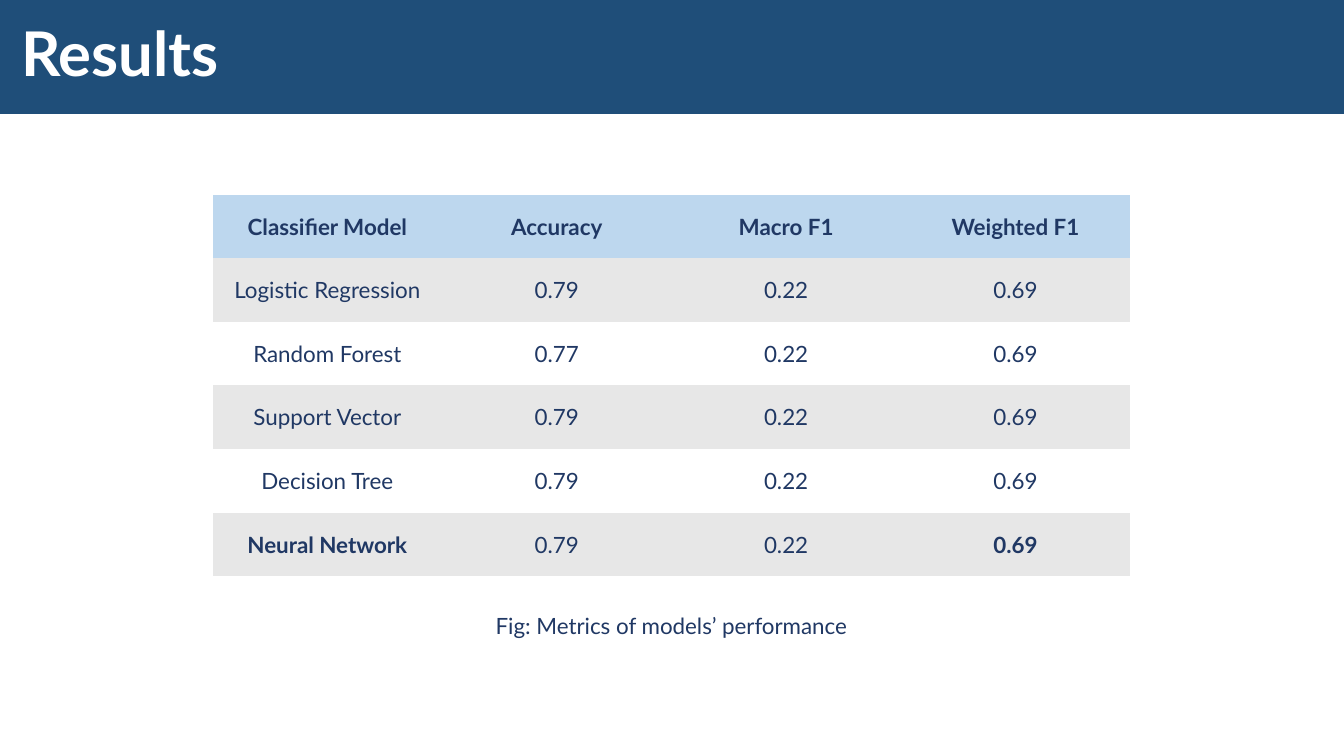
from dataclasses import dataclass

from pptx import Presentation
from pptx import util as u
from pptx.dml.color import RGBColor
from pptx.enum import text

COLORS = {
    "banner": "1F4E79",
    "header": "BDD7EE",
    "band": "E7E7E7",
    "white": "FFFFFF",
    "ink": "203864",
}
FONT = "Lato"
NO_GRID_STYLE = "{2D5ABB26-0587-4C30-8999-92F81FD0307C}"
LEFT, WIDTH = 2.11, 9.1
TABLE_TOP, TABLE_HEIGHT = 1.93, 3.79
HEADINGS = ("Classifier Model", "Accuracy", "Macro F1", "Weighted F1")


@dataclass
class ModelResult:
    name: str
    accuracy: str
    macro_f1: str = "0.22"
    weighted_f1: str = "0.69"
    best: bool = False


RESULTS = [
    ModelResult("Logistic Regression", "0.79"),
    ModelResult("Random Forest", "0.77"),
    ModelResult("Support Vector", "0.79"),
    ModelResult("Decision Tree", "0.79"),
    ModelResult("Neural Network", "0.79", best=True),
]


def color(name: str) -> RGBColor:
    return RGBColor.from_string(COLORS[name])


def write(paragraph, words: str, size: float = 16, ink: str = "ink",
          bold: bool = False, align=text.PP_ALIGN.CENTER) -> None:
    paragraph.text = words
    paragraph.alignment = align
    font = paragraph.font
    font.name, font.size, font.bold = FONT, u.Pt(size), bold
    font.color.rgb = color(ink)


def add_banner(slide) -> None:
    title = slide.shapes.title
    title.left, title.top = u.Inches(-0.01), u.Inches(0)
    title.width, title.height = u.Inches(13.34), u.Inches(1.13)
    title.fill.solid()
    title.fill.fore_color.rgb = color("banner")
    frame = title.text_frame
    frame.auto_size = text.MSO_AUTO_SIZE.NONE
    frame.vertical_anchor = text.MSO_ANCHOR.MIDDLE
    frame.margin_left = u.Inches(0.22)
    write(frame.paragraphs[0], "Results", 44, "white", True, text.PP_ALIGN.LEFT)
    frame.paragraphs[0].line_spacing = 0.9


def fill_row(row, words: tuple[str, ...], fill: str, bold_columns: set[int]) -> None:
    for index, (cell, word) in enumerate(zip(row.cells, words)):
        cell.fill.solid()
        cell.fill.fore_color.rgb = color(fill)
        cell.vertical_anchor = text.MSO_ANCHOR.MIDDLE
        write(cell.text_frame.paragraphs[0], word, bold=index in bold_columns)


def add_results_table(slide) -> None:
    row_count, column_count = len(RESULTS) + 1, len(HEADINGS)
    table = slide.shapes.add_table(
        row_count, column_count, u.Inches(LEFT), u.Inches(TABLE_TOP),
        u.Inches(WIDTH), u.Inches(TABLE_HEIGHT)).table
    # Borderless table style
    table._tbl.tblPr.find("{*}tableStyleId").text = NO_GRID_STYLE

    fill_row(table.rows[0], HEADINGS, "header", set(range(column_count)))
    for index, result in enumerate(RESULTS, start=1):
        words = (result.name, result.accuracy, result.macro_f1, result.weighted_f1)
        fill = "band" if index % 2 else "white"
        bold_columns = {0, column_count - 1} if result.best else set()
        fill_row(table.rows[index], words, fill, bold_columns)


def add_caption(slide) -> None:
    caption = slide.shapes.add_textbox(
        u.Inches(LEFT), u.Inches(6.02), u.Inches(WIDTH), u.Inches(0.37))
    frame = caption.text_frame
    frame.word_wrap = True
    frame.auto_size = text.MSO_AUTO_SIZE.SHAPE_TO_FIT_TEXT
    write(frame.paragraphs[0], "Fig: Metrics of models’ performance")


def main() -> None:
    presentation = Presentation()
    presentation.slide_width = u.Inches(13.33)
    presentation.slide_height = u.Inches(7.5)
    title_only = presentation.slide_layouts.get_by_name("Title Only")
    slide = presentation.slides.add_slide(title_only)

    add_banner(slide)
    add_results_table(slide)
    add_caption(slide)
    presentation.save("out.pptx")


if __name__ == "__main__":
    main()
